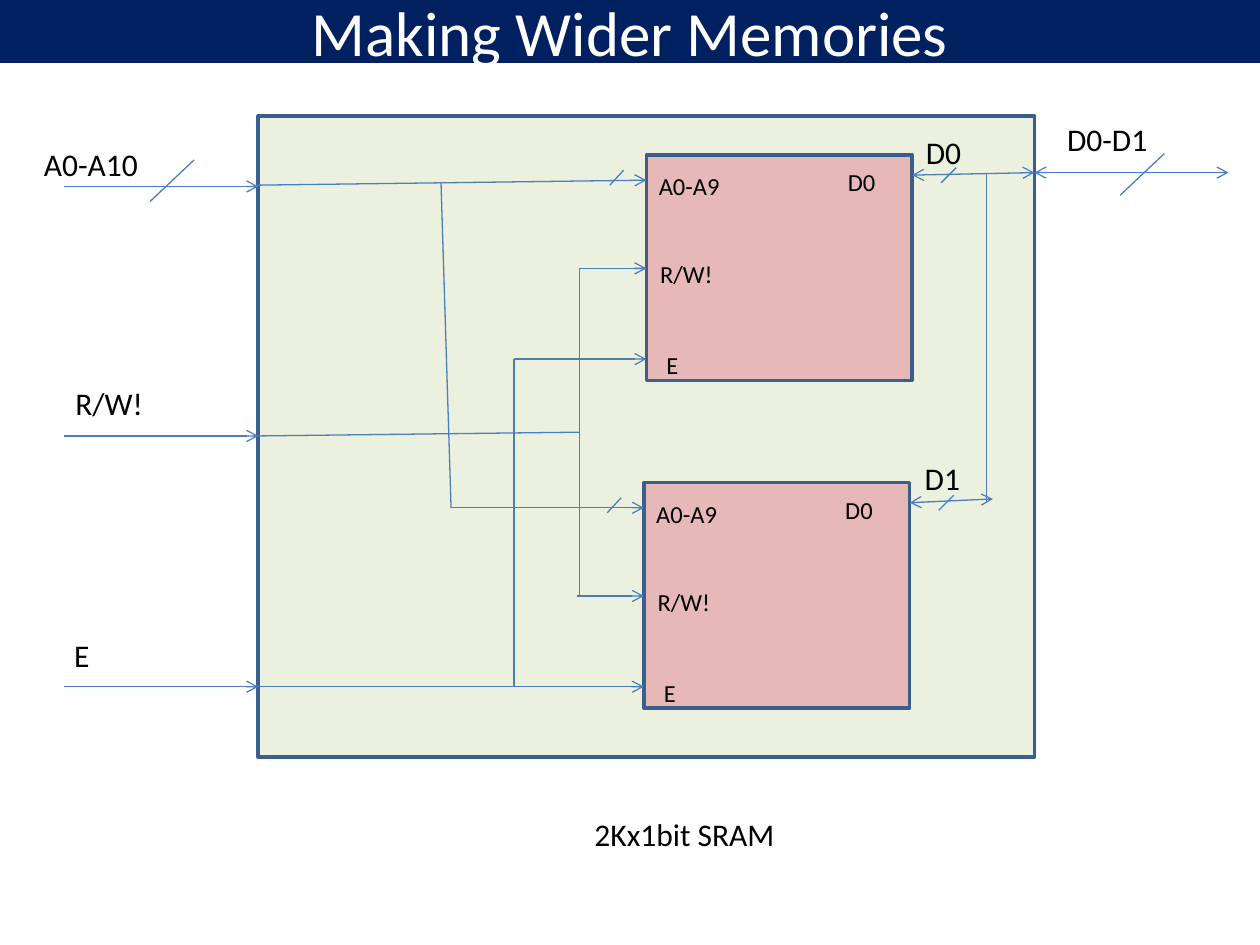
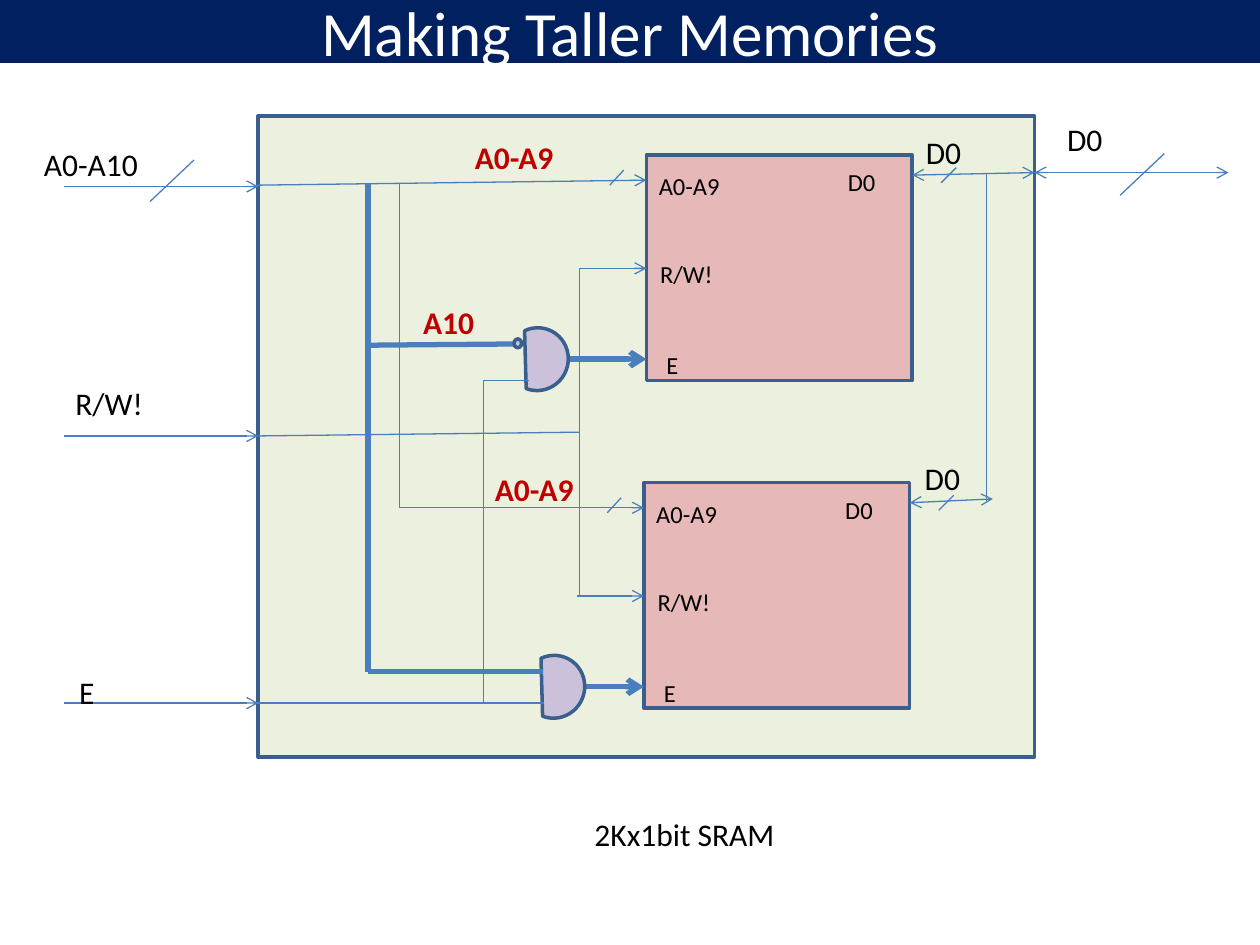
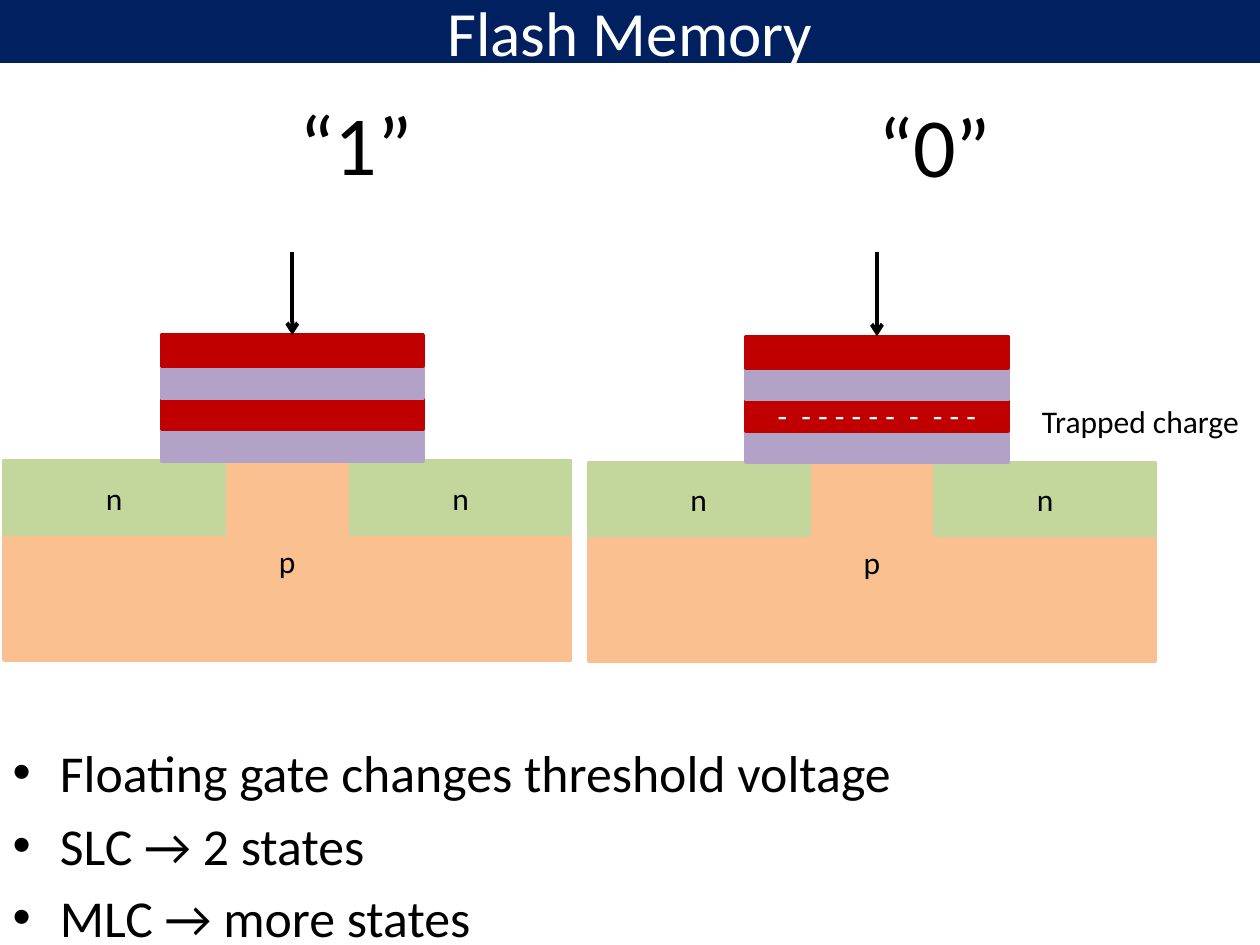
"""Build three slides on combining memories and on flash memory cells."""

from dataclasses import dataclass
from typing import NamedTuple

from lxml import etree
from pptx import Presentation
from pptx.dml.color import RGBColor
from pptx.enum.shapes import MSO_CONNECTOR, MSO_SHAPE
from pptx.enum.text import MSO_ANCHOR, MSO_AUTO_SIZE, PP_ALIGN
from pptx.oxml.ns import qn
from pptx.shapes.autoshape import Shape
from pptx.shapes.shapetree import GroupShapes, SlideShapes
from pptx.slide import Slide
from pptx.text.text import _Paragraph as Paragraph
from pptx.util import Inches, Pt

RECTANGLE = MSO_SHAPE.RECTANGLE
CHORD = MSO_SHAPE.CHORD
OVAL = MSO_SHAPE.OVAL
STRAIGHT = MSO_CONNECTOR.STRAIGHT
MIDDLE = MSO_ANCHOR.MIDDLE
CENTER = PP_ALIGN.CENTER
NO_AUTOFIT = MSO_AUTO_SIZE.NONE
GROW = MSO_AUTO_SIZE.SHAPE_TO_FIT_TEXT
TITLE_AND_BODY, TITLE_ONLY = 1, 5

Shapes = SlideShapes | GroupShapes


@dataclass(frozen=True)
class Theme:
    font: str = "Calibri"
    black: RGBColor = RGBColor(0, 0, 0)
    white: RGBColor = RGBColor(255, 255, 255)
    band: RGBColor = RGBColor.from_string("002060")
    wire: RGBColor = RGBColor.from_string("4B7EBC")
    outline: RGBColor = RGBColor.from_string("3A5F8C")
    board: RGBColor = RGBColor.from_string("EBF1DE")
    chip: RGBColor = RGBColor.from_string("E6B9B8")
    gate: RGBColor = RGBColor.from_string("CCC1DA")
    red: RGBColor = RGBColor.from_string("C00000")
    oxide: RGBColor = RGBColor.from_string("B3A2C7")
    p_region: RGBColor = RGBColor.from_string("FAC090")
    n_region: RGBColor = RGBColor.from_string("C3D69B")
    title_size: float = 36
    bit_size: float = 48
    body_size: float = 29.6
    label_size: float = 18
    pin_size: float = 14
    thin: float = 0.75
    border: float = 2
    arrow: float = 2.25
    thick: float = 3


THEME = Theme()


class Point(NamedTuple):
    x: float
    y: float


class Box(NamedTuple):
    left: float
    top: float
    width: float
    height: float


@dataclass(frozen=True)
class Label:
    text: str
    box: Box
    size: float = THEME.label_size
    color: RGBColor = THEME.black
    bold: bool = False


@dataclass(frozen=True)
class Wire:
    start: Point
    end: Point
    weight: float = THEME.thin
    head: bool = False
    tail: bool = False
    color: RGBColor = THEME.wire


@dataclass(frozen=True)
class Chip:
    corner: Point
    address_start: Point
    data_end: Point
    enable_x: float
    enable_weight: float = THEME.thin


@dataclass(frozen=True)
class Memory:
    title: str
    data_label: str
    second_data_label: str
    enable_label: Point
    enable_y: float
    chips: tuple[Chip, Chip]
    wires: tuple[Wire, ...]


@dataclass(frozen=True)
class FlashCell:
    corner: Point
    bit_label: Label
    charge: str = ""


def add_text(paragraph: Paragraph, text: str, size: float, color: RGBColor, bold: bool = False) -> None:
    run = paragraph.add_run()
    run.text = text
    run.font.name = THEME.font
    run.font.size = Pt(size)
    run.font.color.rgb = color
    run.font.bold = bold


def place(shape: Shape, box: Box) -> None:
    shape.left, shape.top, shape.width, shape.height = (Inches(length) for length in box)


def add_filled(
    shapes: Shapes, kind: MSO_SHAPE, box: Box, fill: RGBColor, outline: RGBColor,
    text: str = "", color: RGBColor = THEME.black,
) -> Shape:
    shape = shapes.add_shape(kind, *(Inches(length) for length in box))
    shape.shadow.inherit = False
    shape.fill.solid()
    shape.fill.fore_color.rgb = fill
    shape.line.color.rgb = outline
    shape.line.width = Pt(THEME.border)
    if text:
        shape.text_frame.vertical_anchor = MIDDLE
        paragraph = shape.text_frame.paragraphs[0]
        paragraph.alignment = CENTER
        add_text(paragraph, text, THEME.label_size, color)
    return shape


def add_label(shapes: Shapes, label: Label) -> None:
    frame = shapes.add_textbox(*(Inches(length) for length in label.box)).text_frame
    frame.word_wrap = False
    frame.auto_size = GROW
    add_text(frame.paragraphs[0], label.text, label.size, label.color, label.bold)


def add_wire(shapes: Shapes, wire: Wire) -> None:
    connector = shapes.add_connector(
        STRAIGHT, *(Inches(length) for length in (*wire.start, *wire.end))
    )
    connector.line.color.rgb = wire.color
    connector.line.width = Pt(wire.weight)
    properties = connector._element.spPr
    line = properties.find(qn("a:ln"))
    for shown, tag in ((wire.head, "a:headEnd"), (wire.tail, "a:tailEnd")):
        if shown:
            etree.SubElement(line, qn(tag)).set("type", "arrow")
    etree.SubElement(properties, qn("a:effectLst"))


def add_titled_slide(presentation: Presentation, title: str, layout: int = TITLE_ONLY) -> Slide:
    slide = presentation.slides.add_slide(presentation.slide_layouts[layout])
    shape = slide.shapes.title
    place(shape, Box(0, 0, 10, 0.5))
    shape.fill.solid()
    shape.fill.fore_color.rgb = THEME.band
    frame = shape.text_frame
    frame.auto_size = NO_AUTOFIT
    frame.vertical_anchor = MIDDLE
    frame.paragraphs[0].alignment = CENTER
    add_text(frame.paragraphs[0], title, THEME.title_size, THEME.white)
    return slide


def draw_chip(slide: Slide, chip: Chip) -> None:
    shapes = slide.shapes.add_group_shape().shapes

    def at(x: float, y: float) -> Point:
        return Point(chip.corner.x + x, chip.corner.y + y)

    enable = at(0, 1.62)
    add_filled(shapes, RECTANGLE, Box(*chip.corner, 2.11, 1.79), THEME.chip, THEME.outline)
    for wire in (
        Wire(chip.address_start, at(0, 0.2), tail=True),
        Wire(at(-0.18, 0.12), at(-0.29, 0.24)),
        Wire(at(2.11, 0.16), chip.data_end, head=True, tail=True),
        Wire(at(2.46, 0.1), at(2.34, 0.22)),
        Wire(at(-0.53, 0.9), at(0, 0.9), tail=True),
        Wire(Point(chip.enable_x, enable.y), enable, chip.enable_weight, tail=True),
    ):
        add_wire(shapes, wire)
    for text, corner, width in (
        ("A0-A9", at(0, 0.08), 0.69),
        ("D0", at(1.5, 0.05), 0.42),
        ("R/W!", at(0.01, 0.78), 0.62),
        ("E", at(0.06, 1.5), 0.3),
    ):
        add_label(shapes, Label(text, Box(*corner, width, 0.34), THEME.pin_size))


def draw_memory(presentation: Presentation, memory: Memory) -> Slide:
    slide = add_titled_slide(presentation, memory.title)
    shapes = slide.shapes
    add_filled(shapes, RECTANGLE, Box(2.05, 0.92, 6.16, 5.09), THEME.board, THEME.outline)
    for y in (1.48, 3.46, memory.enable_y):
        add_wire(shapes, Wire(Point(0.51, y), Point(2.05, y), tail=True))
    add_wire(shapes, Wire(Point(8.21, 1.37), Point(9.75, 1.37), head=True, tail=True))
    for slash in (Point(1.54, 1.27), Point(9.24, 1.22)):
        add_wire(shapes, Wire(slash, Point(slash.x - 0.35, slash.y + 0.33)))
    for chip in memory.chips:
        draw_chip(slide, chip)
    for wire in (
        Wire(Point(4.6, 4.72), Point(4.6, 2.13)),
        Wire(Point(2.05, 3.46), Point(4.6, 3.43)),
        Wire(Point(7.83, 1.37), Point(7.83, 3.99)),
        *memory.wires,
    ):
        add_wire(shapes, wire)
    for label in (
        Label("A0-A10", Box(0.25, 1.1, 0.95, 0.4)),
        Label("R/W!", Box(0.5, 3, 1.53, 0.67)),
        Label("E", Box(*memory.enable_label, 0.67, 0.67)),
        Label(memory.data_label, Box(8.37, 0.9, 0.85 if "-" in memory.data_label else 0.49, 0.4)),
        Label("D0", Box(7.25, 1.01, 0.49, 0.4)),
        Label(memory.second_data_label, Box(7.24, 3.59, 0.49, 0.4)),
        Label("2Kx1bit SRAM", Box(4.62, 6.42, 1.64, 0.4)),
    ):
        add_label(shapes, label)
    return slide


def make_chips(
    second_address_x: float, enable_xs: tuple[float, float], enable_weight: float
) -> tuple[Chip, Chip]:
    return (
        Chip(Point(5.13, 1.23), Point(2.03, 1.47), Point(8.21, 1.37), enable_xs[0], enable_weight),
        Chip(Point(5.11, 3.83), Point(second_address_x, 4.03), Point(7.88, 3.96),
             enable_xs[1], enable_weight),
    )


def draw_wider(presentation: Presentation) -> None:
    draw_memory(presentation, Memory(
        "Making Wider Memories", "D0-D1", "D1", Point(0.49, 5), 5.45,
        make_chips(3.58, (4.08, 2.05), THEME.thin),
        (
            Wire(Point(4.08, 2.85), Point(4.08, 5.45)),
            Wire(Point(3.5, 1.45), Point(3.58, 4.03)),
        ),
    ))


def draw_taller(presentation: Presentation) -> None:
    slide = draw_memory(presentation, Memory(
        "Making Taller Memories", "D0", "D0", Point(0.53, 5.29), 5.58,
        make_chips(3.17, (4.51, 4.62), THEME.thick),
        (
            Wire(Point(3.84, 3.02), Point(3.84, 5.58)),
            Wire(Point(3.17, 1.45), Point(3.17, 4.03)),
        ),
    ))
    shapes = slide.shapes
    for corner in (Point(4.02, 2.6), Point(4.15, 5.2)):
        gate = add_filled(shapes, CHORD, Box(*corner, 0.49, 0.5), THEME.gate, THEME.outline)
        gate.rotation = 200.8
    for wire in (
        Wire(Point(2.03, 5.58), Point(4.32, 5.58)),
        Wire(Point(3.84, 3.02), Point(4.2, 3.02)),
        Wire(Point(2.92, 1.45), Point(2.92, 5.33), THEME.thick),
        Wire(Point(2.92, 5.33), Point(4.31, 5.33), THEME.thick),
        Wire(Point(2.92, 2.74), Point(4.09, 2.73), THEME.thick),
    ):
        add_wire(shapes, wire)
    add_filled(shapes, OVAL, Box(4.08, 2.69, 0.06, 0.07), THEME.gate, THEME.outline)
    for text, box in (
        ("A0-A9", Box(3.67, 1.05, 0.84, 0.4)),
        ("A10", Box(3.26, 2.36, 0.61, 0.4)),
        ("A0-A9", Box(3.83, 3.68, 0.84, 0.4)),
    ):
        add_label(shapes, Label(text, box, color=THEME.red, bold=True))


def draw_flash_cell(slide: Slide, cell: FlashCell) -> None:
    shapes = slide.shapes
    left, top = cell.corner
    add_filled(shapes, RECTANGLE, Box(left, top, 4.5, 1.58), THEME.p_region, THEME.p_region, "p")
    for offset in (0, 2.75):
        box = Box(left + offset, top, 1.75, 0.58)
        add_filled(shapes, RECTANGLE, box, THEME.n_region, THEME.n_region, "n")
    layers = ((THEME.oxide, ""), (THEME.red, cell.charge), (THEME.oxide, ""), (THEME.red, ""))
    for level, (color, text) in enumerate(layers, start=1):
        box = Box(left + 1.25, top - 0.25 * level, 2.08, 0.25)
        add_filled(shapes, RECTANGLE, box, color, color, text, THEME.white)
    add_wire(shapes, Wire(
        Point(left + 2.29, 2), Point(left + 2.29, top - 1), THEME.arrow, tail=True, color=THEME.black
    ))
    add_label(shapes, cell.bit_label)


def draw_flash(presentation: Presentation) -> None:
    slide = add_titled_slide(presentation, "Flash Memory", TITLE_AND_BODY)
    body = slide.placeholders[1]
    place(body, Box(0, 5.83, 10, 1.67))
    frame = body.text_frame
    frame.auto_size = NO_AUTOFIT
    bullets = ("Floating gate changes threshold voltage", "SLC → 2 states", "MLC → more states")
    for index, text in enumerate(bullets):
        paragraph = frame.add_paragraph() if index else frame.paragraphs[0]
        add_text(paragraph, text, THEME.body_size, THEME.black)
    for cell in (
        FlashCell(Point(4.67, 3.67), Label("“0”", Box(6.87, 0.69, 1.11, 0.91), THEME.bit_size),
                  "-  - - - - - -  -  - - -"),
        FlashCell(Point(0.03, 3.66), Label("“1”", Box(2.28, 0.68, 1.11, 0.91), THEME.bit_size)),
    ):
        draw_flash_cell(slide, cell)
    add_label(slide.shapes, Label("Trapped charge", Box(8.17, 3.14, 1.78, 0.4)))


def main() -> None:
    presentation = Presentation()
    presentation.slide_width = Inches(10)
    presentation.slide_height = Inches(7.5)
    draw_wider(presentation)
    draw_taller(presentation)
    draw_flash(presentation)
    presentation.save("out.pptx")


if __name__ == "__main__":
    main()
